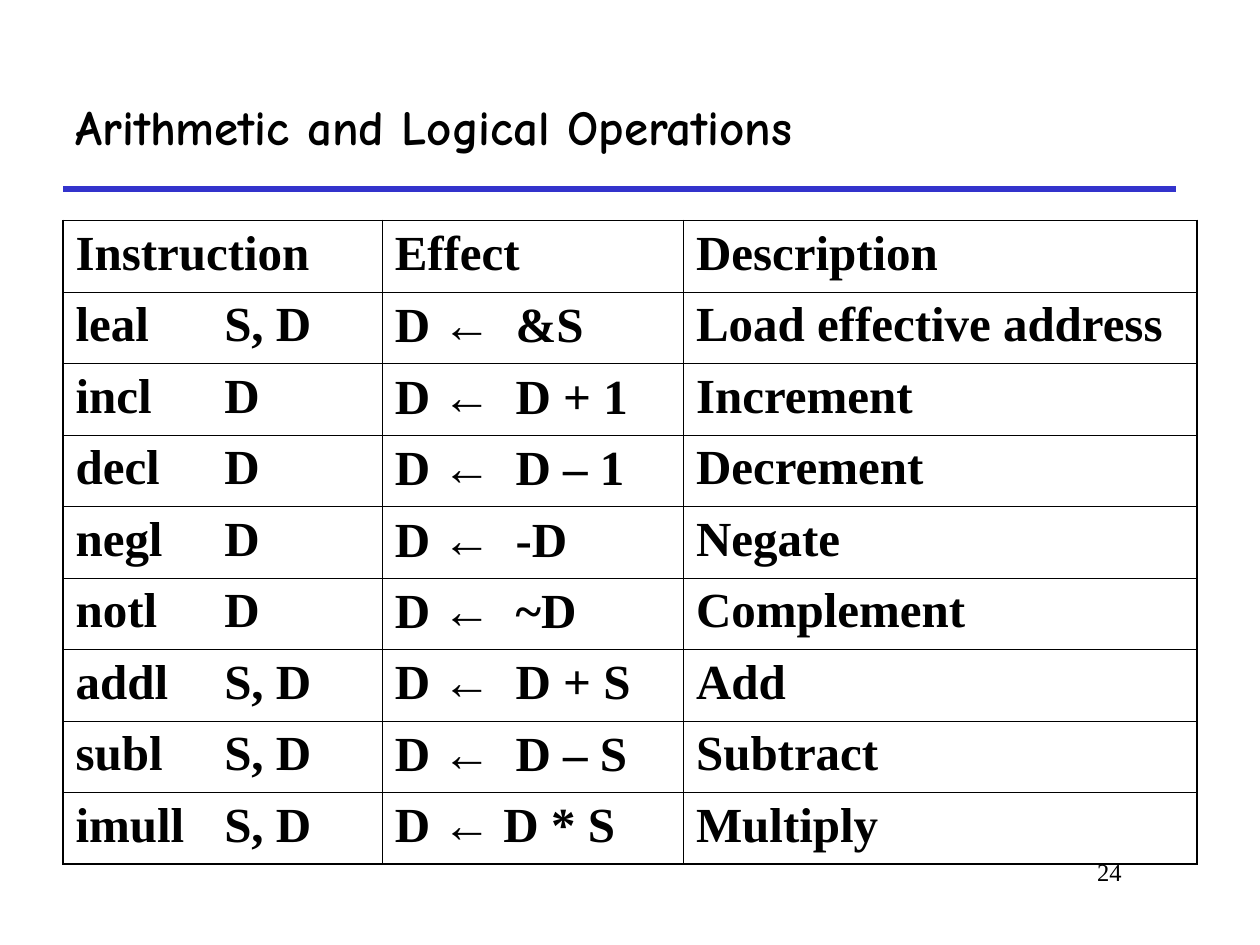
from lxml.etree import SubElement as Sub
from pptx import Presentation
from pptx.dml.color import RGBColor
from pptx.enum.shapes import MSO_CONNECTOR as Link
from pptx.enum.text import MSO_ANCHOR as Anchor, PP_ALIGN as Align
from pptx.oxml.ns import qn
from pptx.util import Inches, Pt

BLACK = RGBColor(0x00, 0x00, 0x00)
BLUE = RGBColor(0x33, 0x33, 0xCC)
UNIT = Inches(10) / 120  # the slide is a grid of 120 columns by 90 rows
COLS = (30.4, 28.7, 48.9)
TABS = (1.18, 0.96, None)  # tab stop of each column, in inches
THICK, THIN = 1.08, 0.45
SERIF, SANS, COMIC = "Times New Roman", "Arial", "Comic Neue"
BOLD = {"name": SERIF, "size": Pt(28), "bold": True}
PLAIN = {"name": SERIF, "size": Pt(14), "bold": False}

HEAD = ("Instruction", "Effect", "Description")
OPS = [
    ("leal\tS, D", "D ←\t&S", "Load effective address"),
    ("incl\tD", "D ←\tD + 1", "Increment"),
    ("decl\tD", "D ←\tD – 1", "Decrement"),
    ("negl\tD", "D ←\t-D", "Negate"),
    ("notl\tD", "D ←\t~D", "Complement"),
    ("addl\tS, D", "D ←\tD + S", "Add"),
    ("subl\tS, D", "D ←\tD – S", "Subtract"),
    ("imull\tS, D", "D ← D * S", "Multiply"),
]


def grid(*cells):
    return [round(n * UNIT) for n in cells]


def write(para, text, look):
    """Add the text as runs, with any arrow in the sans font."""
    before, arrow, after = text.partition("←")
    for part in filter(None, (before, arrow, after)):
        run = para.add_run()
        run.text = part
        face = {**look, "name": SANS} if part == "←" else look
        for key, value in face.items():
            setattr(run.font, key, value)
        run.font.color.rgb = BLACK


def set_tab(para, inches):
    stops = Sub(para._p.get_or_add_pPr(), qn("a:tabLst"))
    Sub(stops, qn("a:tab"), pos=str(Inches(inches)), algn="l")


def edge(cell, side, width):
    line = Sub(cell._tc.get_or_add_tcPr(), qn(f"a:ln{side}"), w=str(Pt(width)))
    fill = Sub(line, qn("a:solidFill"))
    Sub(fill, qn("a:srgbClr"), val=str(BLACK))


def label(slide, box, text, look, align, anchor):
    frame = slide.shapes.add_textbox(*grid(*box)).text_frame
    frame.word_wrap = True
    frame.vertical_anchor = anchor
    para = frame.paragraphs[0]
    para.alignment = align
    write(para, text, look)


def header(slide, box):
    """Place the title, with a rule along the bottom of the box."""
    left, top, width, height = box
    look = {**BOLD, "name": COMIC}
    label(slide, box, "Arithmetic and Logical Operations", look,
          Align.LEFT, Anchor.MIDDLE)
    base = top + height
    ends = grid(left, base, left + width, base)
    rule = slide.shapes.add_connector(Link.STRAIGHT, *ends)
    rule.line.color.rgb = BLUE
    rule.line.width = Pt(3)
    Sub(rule._element.spPr, qn("a:effectLst"))


def op_table(slide, box):
    rows = [HEAD, *OPS]
    last, end = len(rows) - 1, len(COLS) - 1
    table = slide.shapes.add_table(len(rows), len(COLS), *grid(*box)).table
    table.first_row = table.horz_banding = False
    for col, width in zip(table.columns, grid(*COLS)):
        col.width = width
    for r, row in enumerate(rows):
        for c, text in enumerate(row):
            cell = table.cell(r, c)
            outer = {"L": c == 0, "R": c == end, "T": r == 0, "B": r == last}
            for side, rim in outer.items():
                edge(cell, side, THICK if rim else THIN)
            cell.fill.background()
            para = cell.text_frame.paragraphs[0]
            if "\t" in text:
                set_tab(para, TABS[c])
            write(para, text, BOLD)


def main():
    deck = Presentation()
    deck.slide_width, deck.slide_height = grid(120, 90)
    slide = deck.slides.add_slide(deck.slide_layouts[6])
    header(slide, (6, 6, 106, 12))
    label(slide, (91, 81, 17, 6), "24", PLAIN, Align.RIGHT, Anchor.TOP)
    op_table(slide, (6, 21, 108, 61.2))
    deck.save("out.pptx")


if __name__ == "__main__":
    main()
